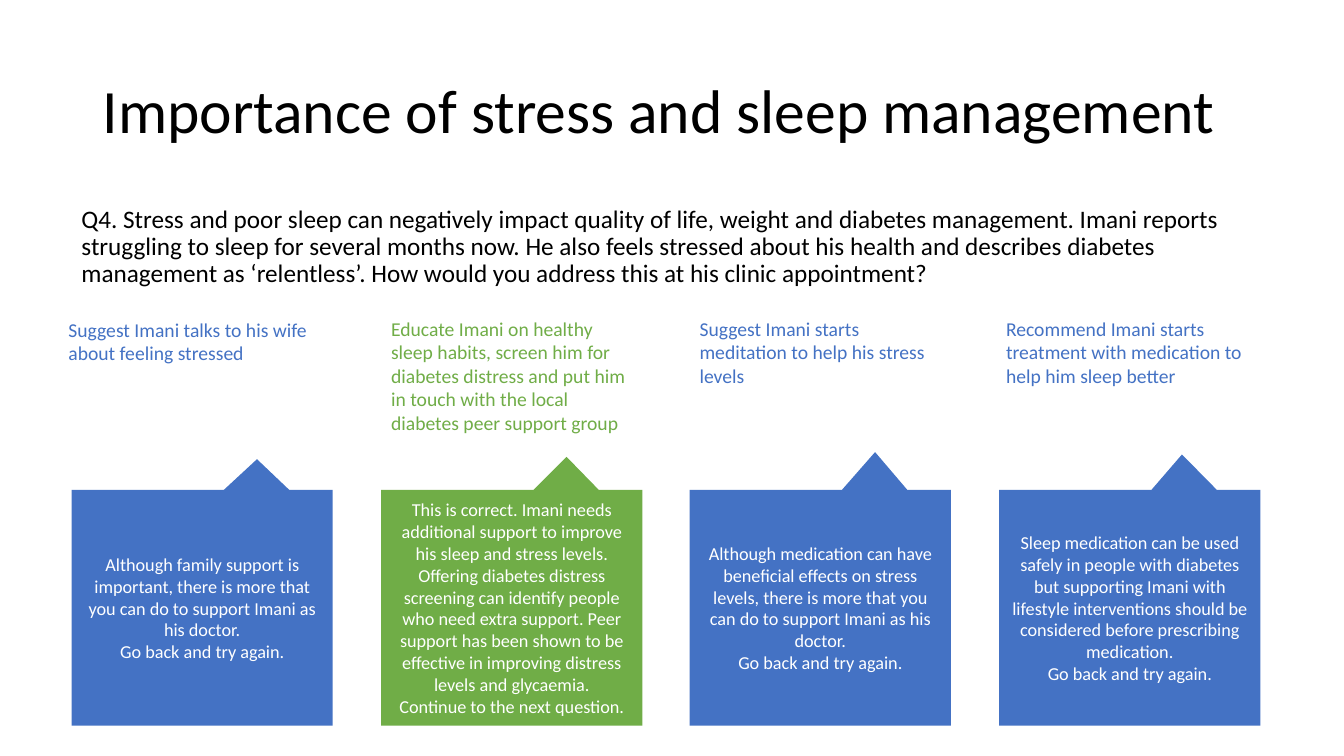
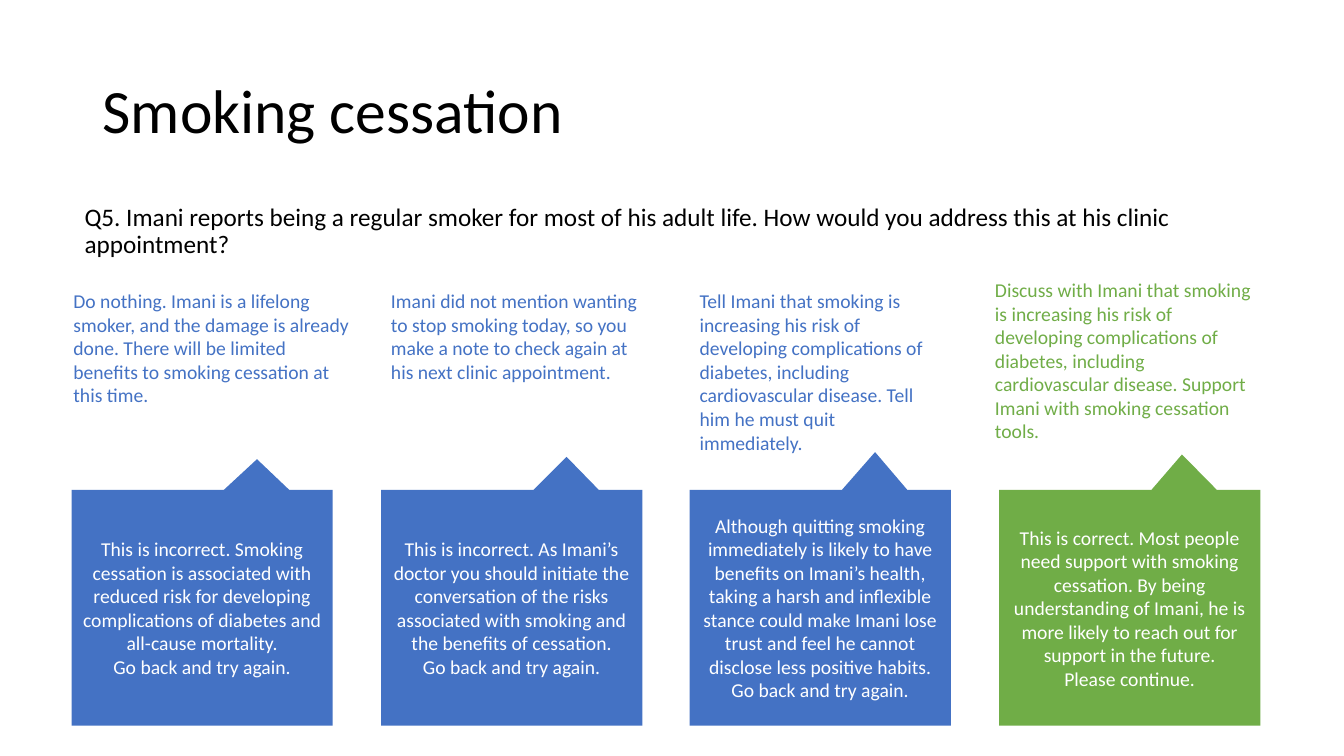
from dataclasses import dataclass

from pptx import Presentation
from pptx import util as u
from pptx.dml import color
from pptx.enum import shapes, text

PX = 9144  # EMU in one px, 100 px to the inch
Box = tuple[int, int, int, int]


@dataclass(frozen=True)
class Theme:
    font: str = "Calibri"
    ink: str = "000000"
    paper: str = "FFFFFF"
    wrong: str = "4472C4"
    right: str = "70AD47"
    title: int = 44
    body: int = 18
    label: int = 14


@dataclass(frozen=True)
class Choice:
    label: str
    box: Box
    reply: str
    close: str = "Go back and try again."
    good: bool = False


@dataclass(frozen=True)
class Quiz:
    title: str
    ask: str
    box: Box
    size: int  # type size of the replies
    picks: tuple[Choice, ...]


THEME = Theme()
WIDE, HIGH = 1333, 750
TITLE = (92, 40, 1150, 145)

# Row of callouts: equal gaps between first and last left edge
FIRST, LAST = 71, 991
TOP, CARD_W, CARD_H = 486, 259, 234
TIPS = ((0.21, -0.63), (0.21, -0.64), (0.21, -0.66), (0.2, -0.65))

QUIZZES = (
    Quiz(
        "Importance of stress and sleep management",
        "Q4. Stress and poor sleep can negatively impact quality of life, weight and "
        "diabetes management. Imani reports struggling to sleep for several months now. "
        "He also feels stressed about his health and describes diabetes management as "
        "‘relentless’. How would you address this at his clinic appointment?",
        (71, 200, 1184, 96), 13,
        (
            Choice(
                "Suggest Imani talks to his wife about feeling stressed",
                (58, 310, 272, 57),
                "Although family support is important, there is more that you can do to "
                "support Imani as his doctor.",
            ),
            Choice(
                "Educate Imani on healthy sleep habits, screen him for diabetes distress "
                "and put him in touch with the local diabetes peer support group",
                (378, 309, 259, 128),
                "This is correct. Imani needs additional support to improve his sleep and "
                "stress levels. Offering diabetes distress screening can identify people "
                "who need extra support. Peer support has been shown to be effective in "
                "improving distress levels and glycaemia.",
                "Continue to the next question.", True,
            ),
            Choice(
                "Suggest Imani starts meditation to help his stress levels",
                (684, 309, 267, 81),
                "Although medication can have beneficial effects on stress levels, there "
                "is more that you can do to support Imani as his doctor.",
            ),
            Choice(
                "Recommend Imani starts treatment with medication to help him sleep better",
                (988, 309, 267, 81),
                "Sleep medication can be used safely in people with diabetes but "
                "supporting Imani with lifestyle interventions should be considered "
                "before prescribing medication.",
            ),
        ),
    ),
    Quiz(
        "Smoking cessation",
        "Q5. Imani reports being a regular smoker for most of his adult life. How would "
        "you address this at his clinic appointment?",
        (74, 198, 1176, 73), 14,
        (
            Choice(
                "Do nothing. Imani is a lifelong smoker, and the damage is already done. "
                "There will be limited benefits to smoking cessation at this time.",
                (63, 282, 294, 128),
                "This is incorrect. Smoking cessation is associated with reduced risk for "
                "developing complications of diabetes and all-cause mortality.",
            ),
            Choice(
                "Imani did not mention wanting to stop smoking today, so you make a note "
                "to check again at his next clinic appointment.",
                (378, 282, 270, 104),
                "This is incorrect. As Imani’s doctor you should initiate the "
                "conversation of the risks associated with smoking and the benefits of "
                "cessation.",
            ),
            Choice(
                "Tell Imani that smoking is increasing his risk of developing "
                "complications of diabetes, including cardiovascular disease. Tell him he "
                "must quit immediately.",
                (684, 282, 259, 175),
                "Although quitting smoking immediately is likely to have benefits on "
                "Imani’s health, taking a harsh and inflexible stance could make Imani "
                "lose trust and feel he cannot disclose less positive habits.",
            ),
            Choice(
                "Discuss with Imani that smoking is increasing his risk of developing "
                "complications of diabetes, including cardiovascular disease. Support "
                "Imani with smoking cessation tools.",
                (977, 271, 274, 175),
                "This is correct. Most people need support with smoking cessation. By "
                "being understanding of Imani, he is more likely to reach out for support "
                "in the future.",
                "Please continue.", True,
            ),
        ),
    ),
)


def emu(box: Box) -> list[u.Emu]:
    return [u.Emu(n * PX) for n in box]


def rgb(tint: str) -> color.RGBColor:
    return color.RGBColor.from_string(tint)


def write(frame, lines: tuple[str, ...], size: int, tint: str) -> None:
    """Fill a text frame, one paragraph a line."""
    frame.word_wrap = True
    frame.text = "\n".join(lines)
    for para in frame.paragraphs:
        para.font.name = THEME.font
        para.font.size = u.Pt(size)
        para.font.color.rgb = rgb(tint)


def add_text(slide, box: Box, line: str, size: int, tint: str):
    frame = slide.shapes.add_textbox(*emu(box)).text_frame
    write(frame, (line,), size, tint)
    return frame


def add_head(slide, quiz: Quiz) -> None:
    """Title and question."""
    title = add_text(slide, TITLE, quiz.title, THEME.title, THEME.ink)
    title.vertical_anchor = text.MSO_ANCHOR.MIDDLE
    ask = add_text(slide, quiz.box, quiz.ask, THEME.body, THEME.ink)
    ask.paragraphs[0].space_before = u.Pt(10)
    for frame in (title, ask):
        frame.paragraphs[0].line_spacing = 0.9


def add_card(slide, col: int, pick: Choice, size: int) -> None:
    """Callout with the reply to one choice."""
    left = round(FIRST + col * (LAST - FIRST) / (len(TIPS) - 1))
    card = slide.shapes.add_shape(
        shapes.MSO_SHAPE.RECTANGULAR_CALLOUT, *emu((left, TOP, CARD_W, CARD_H))
    )
    card.adjustments[0], card.adjustments[1] = TIPS[col]
    card.shadow.inherit = False
    card.fill.solid()
    card.fill.fore_color.rgb = rgb(THEME.right if pick.good else THEME.wrong)
    card.line.fill.background()
    frame = card.text_frame
    write(frame, (pick.reply, pick.close), size, THEME.paper)
    frame.vertical_anchor = text.MSO_ANCHOR.MIDDLE
    for para in frame.paragraphs:
        para.alignment = text.PP_ALIGN.CENTER


def add_label(slide, pick: Choice) -> None:
    tint = THEME.right if pick.good else THEME.wrong
    frame = add_text(slide, pick.box, pick.label, THEME.label, tint)
    frame.auto_size = text.MSO_AUTO_SIZE.SHAPE_TO_FIT_TEXT


def main() -> None:
    deck = Presentation()
    deck.slide_width, deck.slide_height = u.Emu(WIDE * PX), u.Emu(HIGH * PX)
    for quiz in QUIZZES:
        slide = deck.slides.add_slide(deck.slide_layouts[6])
        add_head(slide, quiz)
        for col, pick in enumerate(quiz.picks):
            add_card(slide, col, pick, quiz.size)
        for pick in quiz.picks:
            add_label(slide, pick)
    deck.save("out.pptx")


if __name__ == "__main__":
    main()
